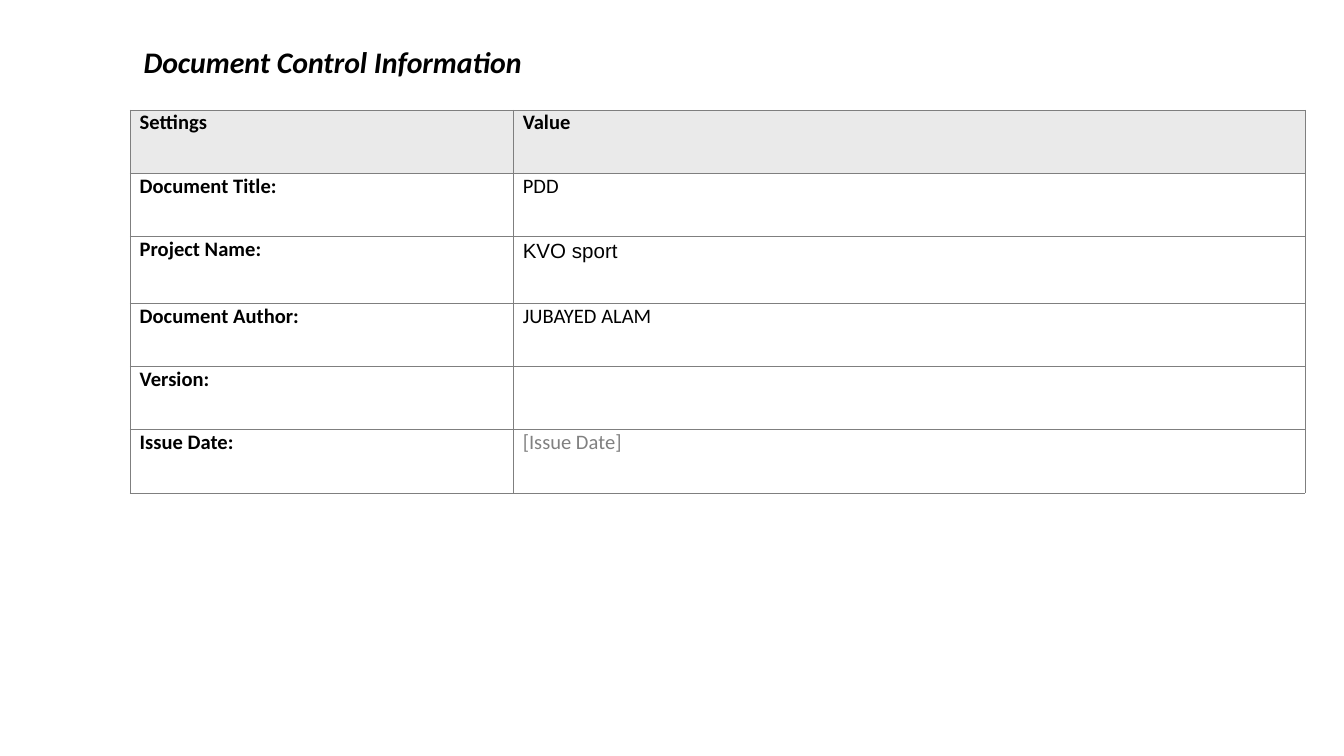
"""Build a slide with a document control information table."""
from dataclasses import dataclass

from lxml import etree
from pptx import Presentation
from pptx.dml.color import RGBColor
from pptx.enum.text import MSO_ANCHOR, PP_ALIGN
from pptx.oxml.ns import qn
from pptx.slide import Slide
from pptx.table import _Cell
from pptx.util import Inches, Pt

MIDDLE = MSO_ANCHOR.MIDDLE
JUSTIFY = PP_ALIGN.JUSTIFY
LEFT = PP_ALIGN.LEFT

COLORS = {
    "text": "000000",
    "placeholder": "808080",
    "header": "EAEAEA",
    "border": "7F7F7F",
}
SLIDE_WIDTH = 10
SLIDE_HEIGHT = SLIDE_WIDTH * 9 / 16
COLUMN_WIDTHS = (2.85, 5.89)
TABLE_LEFT, TABLE_TOP = 0.97, 0.82


@dataclass(frozen=True)
class Entry:
    """One setting with its value and the look of that value."""

    setting: str
    value: str
    height: float = 0.47
    font: str = "Calibri"
    color: str = "text"
    align: PP_ALIGN = JUSTIFY
    spacing: float = 1.0
    header: bool = False


ENTRIES = (
    Entry("Settings", "Value", header=True),
    Entry("Document Title:", "PDD"),
    Entry("Project Name:", "KVO sport", height=0.5, font="Arial", align=LEFT, spacing=1.15),
    Entry("Document Author:", "JUBAYED ALAM"),
    Entry("Version: ", ""),
    Entry("Issue Date:", "[Issue Date]", color="placeholder"),
)


def draw_borders(cell: _Cell) -> None:
    """Give the cell a thin line on each side."""
    properties = cell._tc.get_or_add_tcPr()
    for side in ("a:lnL", "a:lnR", "a:lnT", "a:lnB"):
        line = etree.SubElement(properties, qn(side), w=str(Pt(0.5)))
        fill = etree.SubElement(line, qn("a:solidFill"))
        etree.SubElement(fill, qn("a:srgbClr"), val=COLORS["border"])


def fill_cell(cell: _Cell, entry: Entry, is_setting: bool) -> None:
    """Write and format the setting or the value of an entry."""
    cell.margin_left = cell.margin_right = Inches(0.07)
    cell.margin_top = cell.margin_bottom = Inches(0)
    draw_borders(cell)
    if entry.header:
        cell.fill.solid()
        cell.fill.fore_color.rgb = RGBColor.from_string(COLORS["header"])
    else:
        cell.fill.background()
    paragraph = cell.text_frame.paragraphs[0]
    paragraph.text = entry.setting if is_setting else entry.value
    paragraph.alignment = JUSTIFY if is_setting else entry.align
    paragraph.line_spacing = 1.0 if is_setting else entry.spacing
    for run in paragraph.runs:
        run.font.name = "Calibri" if is_setting else entry.font
        run.font.size = Pt(11)
        run.font.bold = is_setting or entry.header
        color = "text" if is_setting else entry.color
        run.font.color.rgb = RGBColor.from_string(COLORS[color])


def draw_table(slide: Slide) -> None:
    """Draw the table with one row for each entry."""
    height = sum(entry.height for entry in ENTRIES)
    table = slide.shapes.add_table(
        len(ENTRIES), len(COLUMN_WIDTHS), Inches(TABLE_LEFT), Inches(TABLE_TOP),
        Inches(sum(COLUMN_WIDTHS)), Inches(height),
    ).table
    table.first_row = table.horz_banding = False
    for column, width in zip(table.columns, COLUMN_WIDTHS):
        column.width = Inches(width)
    for row, entry in zip(table.rows, ENTRIES):
        row.height = Inches(entry.height)
        for index, cell in enumerate(row.cells):
            fill_cell(cell, entry, is_setting=index == 0)


def draw_heading(slide: Slide) -> None:
    """Write the heading above the table."""
    heading = slide.shapes.add_textbox(
        Inches(TABLE_LEFT), Inches(0.1), Inches(3.94), Inches(0.71)
    ).text_frame
    heading.word_wrap = True
    heading.vertical_anchor = MIDDLE
    heading.margin_left = heading.margin_right = Inches(0.1)
    heading.margin_top = heading.margin_bottom = Inches(0.1)
    heading.text = "Document Control Information"
    paragraph = heading.paragraphs[0]
    paragraph.space_after = Pt(1)
    font = paragraph.runs[0].font
    font.name = "Calibri"
    font.size = Pt(16)
    font.bold = font.italic = True
    font.color.rgb = RGBColor.from_string(COLORS["text"])


def main() -> None:
    """Create and save the presentation."""
    presentation = Presentation()
    presentation.slide_width = Inches(SLIDE_WIDTH)
    presentation.slide_height = Inches(SLIDE_HEIGHT)
    slide = presentation.slides.add_slide(presentation.slide_layouts[6])
    draw_table(slide)
    draw_heading(slide)
    presentation.save("out.pptx")


if __name__ == "__main__":
    main()
